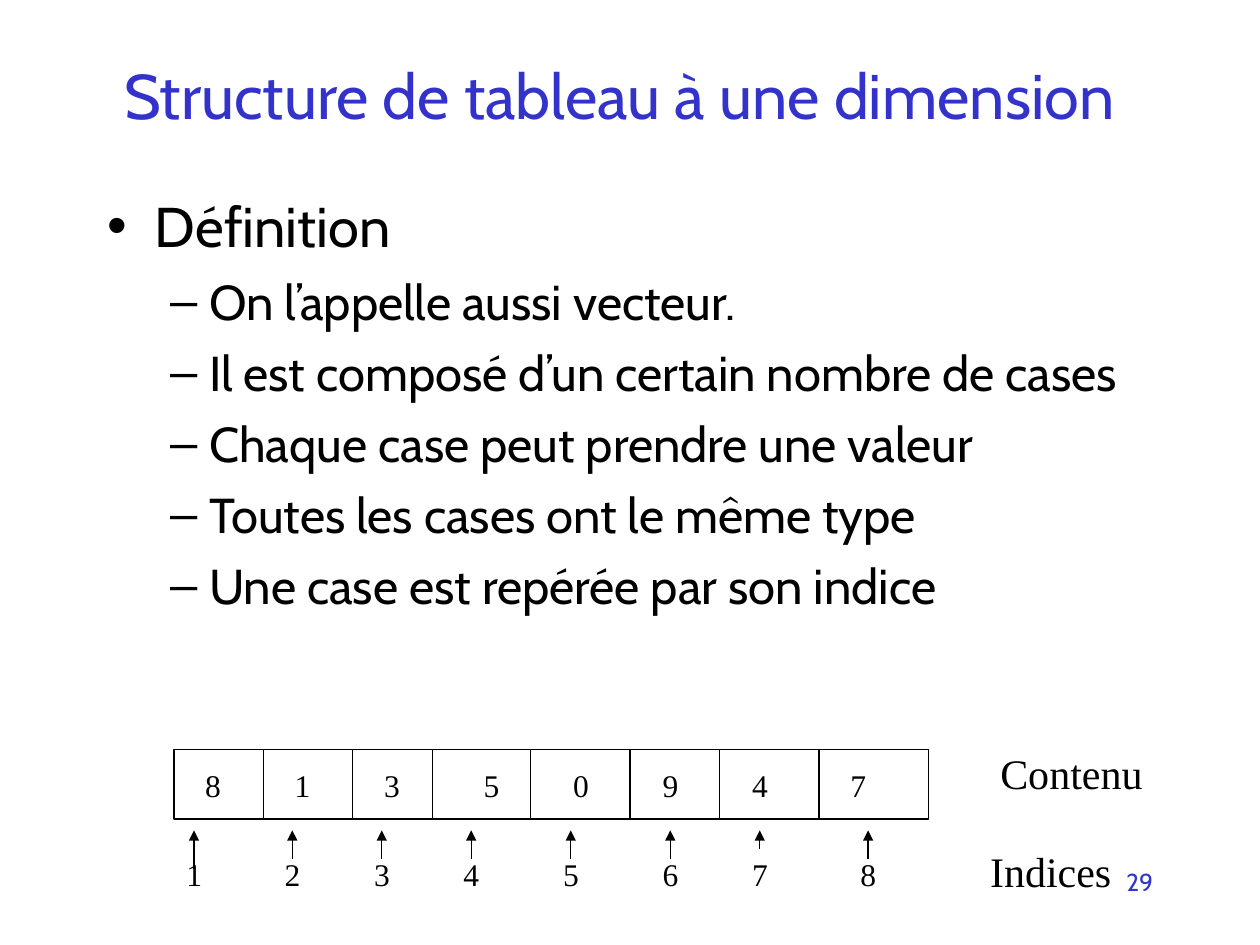
"""Build the slide describing a one-dimensional array."""
from lxml import etree
from pptx import Presentation
from pptx.dml.color import RGBColor
from pptx.enum.shapes import MSO_CONNECTOR, MSO_SHAPE
from pptx.enum.text import MSO_ANCHOR, MSO_AUTO_SIZE, PP_ALIGN
from pptx.oxml.ns import qn
from pptx.util import Inches, Pt

TITLE = "Structure de tableau à une dimension"
DEFINITION = [
    (0, "Définition"),
    (1, "On l’appelle aussi vecteur."),
    (1, "Il est composé d’un certain nombre de cases"),
    (1, "Chaque case peut prendre une valeur"),
    (1, "Toutes les cases ont le même type"),
    (1, "Une case est repérée par son indice"),
]
LEVELS = [
    {"size": 32, "before": 8, "margin": 0.38, "indent": -0.38, "bullet": "•"},
    {"size": 28, "before": 7, "margin": 0.81, "indent": -0.31, "bullet": "–"},
]
CELLS = [
    ("8", 1.53, 1.38, 6.9),
    ("1", 2.24, 2.16, 6.82),
    ("3", 2.95, 2.87, 6.82),
    ("5", 3.74, 3.58, 6.82),
    ("0", 4.45, 4.37, 6.82),
    ("9", 5.16, 5.16, 6.82),
    ("4", 5.87, 5.87, 6.74),
    ("7", 6.65, 6.73, 6.82),
]
DIVIDERS = [2.09, 2.8, 3.43, 4.21, 5, 5.71, 6.5]
ROW_LABELS = [("Indices", 7.76, 6.66, 1.18), ("Contenu", 7.84, 5.88, 1.42)]
PAGE_NUMBER = "29"

COLORS = {"accent": "3333CC", "ink": "000000"}
SANS, SERIF = "Cabin", "Times New Roman"
ROW_TOP, ROW_HEIGHT = 5.95, 0.55
VALUE_TOP, INDEX_TOP, ARROW_TOP = 6.03, 6.74, 6.59
DIGIT_WIDTH, DIGIT_HEIGHT, ARROW_OFFSET = 0.39, 0.4, 0.16
LINE_WIDTH = Pt(0.74)


def color(name):
    return RGBColor.from_string(COLORS[name])


def place(shape, left, top, width, height):
    shape.left, shape.top = Inches(left), Inches(top)
    shape.width, shape.height = Inches(width), Inches(height)


def style(paragraph, size, font, ink):
    for run in paragraph.runs:
        run.font.size = Pt(size)
        run.font.name = font
        run.font.color.rgb = color(ink)


def add_label(slide, text, box, size, before=0, font=SERIF, ink="ink", align=PP_ALIGN.LEFT):
    label = slide.shapes.add_textbox(*map(Inches, box))
    label.text_frame.word_wrap = True
    label.text_frame.text = text
    paragraph = label.text_frame.paragraphs[0]
    paragraph.alignment = align
    paragraph.space_before = Pt(before)
    style(paragraph, size, font, ink)


def add_line(slide, x, start, end, arrow=False):
    line = slide.shapes.add_connector(
        MSO_CONNECTOR.STRAIGHT, Inches(x), Inches(start), Inches(x), Inches(end))
    line.line.color.rgb = color("ink")
    line.line.width = LINE_WIDTH
    if arrow:
        etree.SubElement(line.line._get_or_add_ln(), qn("a:tailEnd"), type="triangle")
    etree.SubElement(line._element.spPr, qn("a:effectLst"))


def set_bullet(paragraph, level):
    properties = paragraph._p.get_or_add_pPr()
    properties.set("marL", str(Inches(level["margin"])))
    properties.set("indent", str(Inches(level["indent"])))
    bullet_color = etree.SubElement(properties, qn("a:buClr"))
    etree.SubElement(bullet_color, qn("a:srgbClr"), val=COLORS["ink"])
    etree.SubElement(properties, qn("a:buChar"), char=level["bullet"])


presentation = Presentation()
presentation.slide_width, presentation.slide_height = Inches(10), Inches(7.5)
slide = presentation.slides.add_slide(presentation.slide_layouts[1])

add_label(slide, PAGE_NUMBER, (7.17, 6.83, 2.08, 0.5), 14,
          font=SANS, ink="accent", align=PP_ALIGN.RIGHT)

title = slide.shapes.title
place(title, 0.51, 0.21, 8.81, 1.08)
title.text_frame.text = TITLE
title.text_frame.auto_size = MSO_AUTO_SIZE.NONE
title.text_frame.vertical_anchor = MSO_ANCHOR.MIDDLE
title.text_frame.paragraphs[0].alignment = PP_ALIGN.CENTER
style(title.text_frame.paragraphs[0], 36, SANS, "accent")

definition = slide.placeholders[1]
place(definition, 0.75, 1.47, 8.5, 5.67)
definition.text_frame.text = "\n".join(text for _, text in DEFINITION)
definition.text_frame.auto_size = MSO_AUTO_SIZE.NONE
for paragraph, (depth, _) in zip(definition.text_frame.paragraphs, DEFINITION):
    level = LEVELS[depth]
    paragraph.level = depth
    paragraph.space_before = Pt(level["before"])
    set_bullet(paragraph, level)
    style(paragraph, level["size"], SANS, "ink")

array_frame = slide.shapes.add_shape(
    MSO_SHAPE.RECTANGLE, *map(Inches, (1.38, ROW_TOP, 5.99, ROW_HEIGHT)))
array_frame.shadow.inherit = False
array_frame.fill.background()
array_frame.line.color.rgb = color("ink")
array_frame.line.width = LINE_WIDTH

for x in DIVIDERS:
    add_line(slide, x, ROW_TOP, ROW_TOP + ROW_HEIGHT)

for index, (value, value_left, index_left, arrow_start) in enumerate(CELLS, 1):
    add_label(slide, value, (value_left, VALUE_TOP, DIGIT_WIDTH, DIGIT_HEIGHT), 18, 11.2)
    add_label(slide, str(index), (index_left, INDEX_TOP, DIGIT_WIDTH, DIGIT_HEIGHT), 18, 11.2)
    add_line(slide, index_left + ARROW_OFFSET, arrow_start, ARROW_TOP, arrow=True)

for text, left, top, width in ROW_LABELS:
    add_label(slide, text, (left, top, width, 0.5), 24, 15)

presentation.save("out.pptx")
